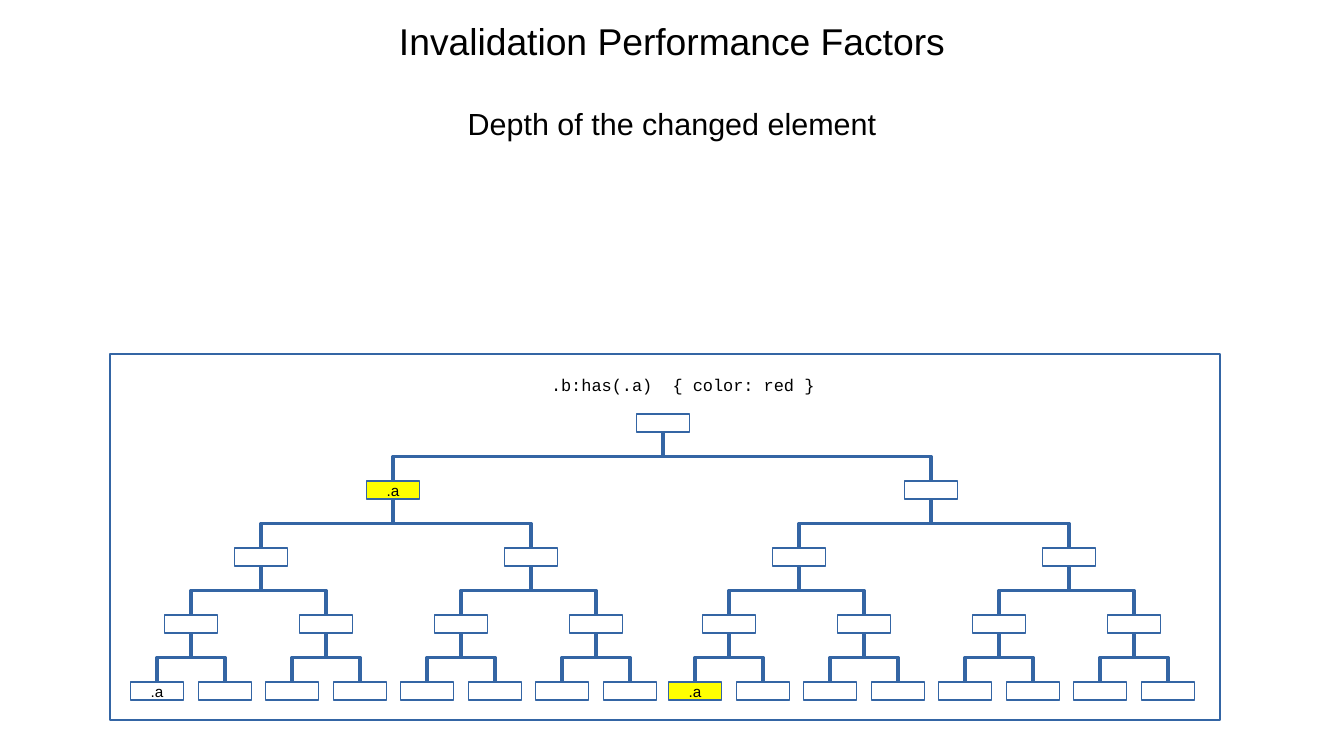
import pptx
import pptx.dml.color
import pptx.enum.shapes
import pptx.enum.text
import pptx.util
from lxml import etree

PX_PER_INCH = 122
BLACK, WHITE, YELLOW, BLUE = "000000", "FFFFFF", "FFFF00", "3465A4"
NODE_WIDTH, NODE_HEIGHT, LEVEL_STEP = 53, 18, 67
# Horizontal shift of the left and right child at each level below the root
CHILD_SHIFTS = [(-270, 268), (-132, 138), (-70, 65), (-34, 34)]
# A node is named by the turns (L or R) that lead to it from the root
NODE_LABELS = {"L": ".a", "LLLL": ".a", "RLLL": ".a"}
YELLOW_NODES = {"L", "RLLL"}


def px(length):
    return pptx.util.Emu(round(length * 914400 / PX_PER_INCH))


def color(hex_value):
    return pptx.dml.color.RGBColor.from_string(hex_value)


def write_text(paragraph, text, size, font="Arial", align="CENTER", space_before=0):
    paragraph.alignment = getattr(pptx.enum.text.PP_ALIGN, align)
    paragraph.space_before = pptx.util.Pt(space_before)
    run = paragraph.add_run()
    run.text = text
    run.font.size = pptx.util.Pt(size)
    run.font.name = font
    run.font.color.rgb = color(BLACK)


def set_frame(text_frame, anchor, wrap):
    text_frame.margin_left = text_frame.margin_right = px(12)
    text_frame.margin_top = text_frame.margin_bottom = px(6)
    text_frame.vertical_anchor = getattr(pptx.enum.text.MSO_ANCHOR, anchor)
    text_frame.word_wrap = wrap


def set_line(shape, line_color):
    shape.line.color.rgb = color(line_color)
    shape.line.width = pptx.util.Pt(0)


def add_box(slide, left, top, width, height, fill=None, line=None):
    shape = slide.shapes.add_shape(
        pptx.enum.shapes.MSO_SHAPE.RECTANGLE, px(left), px(top), px(width), px(height))
    shape.shadow.inherit = False
    if fill:
        shape.fill.solid()
        shape.fill.fore_color.rgb = color(fill)
    else:
        shape.fill.background()
    if line:
        set_line(shape, line)
    else:
        shape.line.fill.background()
    set_frame(shape.text_frame, "MIDDLE", False)
    return shape


def add_branch(slide, child_x, child_top, parent_x, parent_bottom):
    """Elbow from a child's top to its parent's bottom, turned to run vertically first."""
    middle_x, middle_y = (child_x + parent_x) / 2, (child_top + parent_bottom) / 2
    side = -1 if child_x < parent_x else 1
    half_width = (child_top - parent_bottom) / 2
    half_height = abs(child_x - parent_x) / 2
    connector = slide.shapes.add_connector(
        pptx.enum.shapes.MSO_CONNECTOR.ELBOW,
        px(middle_x - side * half_width), px(middle_y + half_height),
        px(middle_x + side * half_width), px(middle_y - half_height))
    set_line(connector, BLUE)
    properties = connector.element.spPr
    properties.xfrm.set("rot", str((180 + side * 90) * 60000))
    etree.SubElement(properties, pptx.oxml.ns.qn("a:effectLst"))


def add_subtree(slide, center_x, top, turns=""):
    level = len(turns)
    if level < len(CHILD_SHIFTS):
        child_top = top + LEVEL_STEP
        for turn, shift in zip("LR", CHILD_SHIFTS[level]):
            add_subtree(slide, center_x + shift, child_top, turns + turn)
            add_branch(slide, center_x + shift, child_top, center_x, top + NODE_HEIGHT)
    fill = YELLOW if turns in YELLOW_NODES else WHITE
    node = add_box(slide, center_x - NODE_WIDTH / 2, top, NODE_WIDTH, NODE_HEIGHT, fill, BLUE)
    if turns in NODE_LABELS:
        write_text(node.text_frame.paragraphs[0], NODE_LABELS[turns], 9)


def add_heading(slide, left, top, width, height):
    title = slide.shapes.title
    title.left, title.top, title.width, title.height = map(px, (left, top, width, height))
    set_frame(title.text_frame, "TOP", True)
    title.text_frame.auto_size = pptx.enum.text.MSO_AUTO_SIZE.NONE
    write_text(title.text_frame.paragraphs[0], "Invalidation Performance Factors", 22)
    write_text(title.text_frame.add_paragraph(), "Depth of the changed element", 18,
               space_before=25)


def add_tree_panel(slide, left, top, width, height):
    add_subtree(slide, left + 553, top + 60)
    rule = add_box(slide, left + 429, top + 12, 292, 38, WHITE)
    write_text(rule.text_frame.paragraphs[0], ".b:has(.a)  { color: red }", 10,
               font="Courier New", align="LEFT")
    add_box(slide, left, top, width, height, line=BLUE)


def main():
    presentation = pptx.Presentation()
    presentation.slide_width, presentation.slide_height = px(1344), px(756)
    slide = presentation.slides.add_slide(presentation.slide_layouts.get_by_name("Title Only"))
    add_heading(slide, 0, 12, 1344, 130)
    add_tree_panel(slide, 110, 354, 1110, 366)
    presentation.save("out.pptx")


if __name__ == "__main__":
    main()
